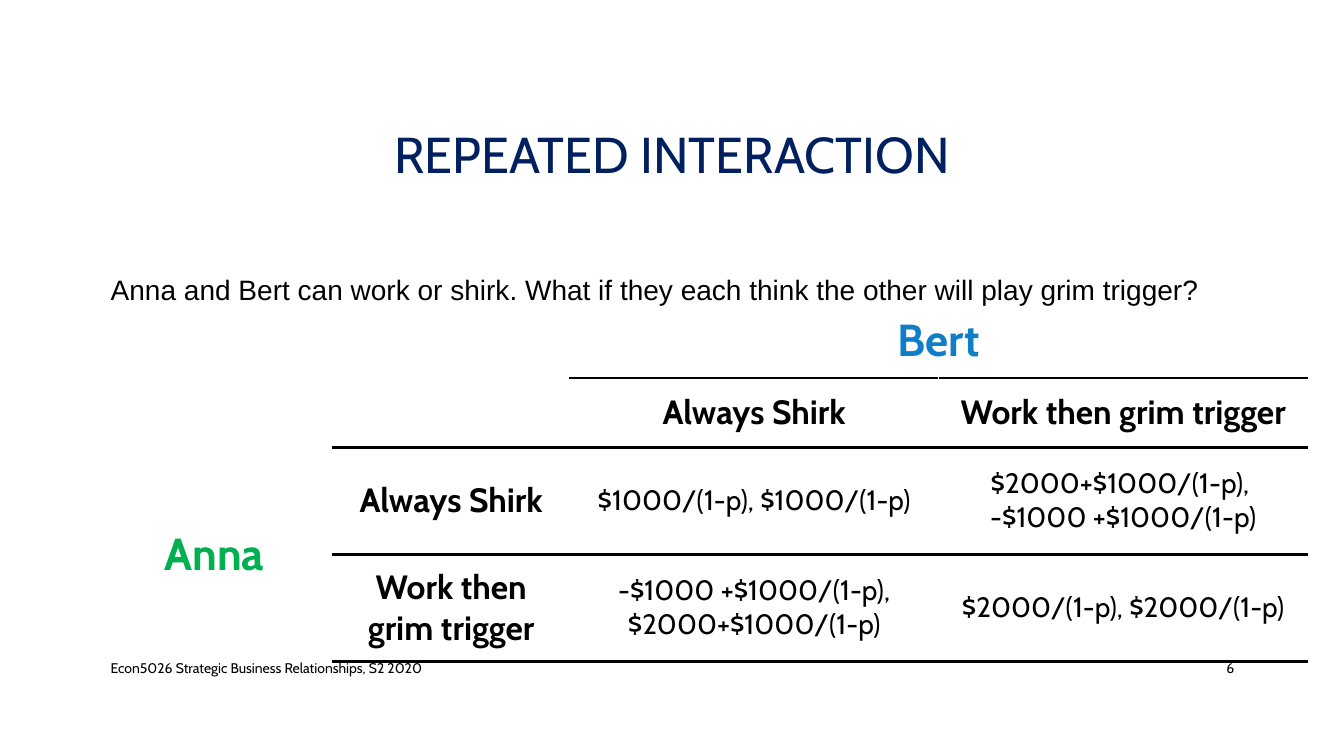
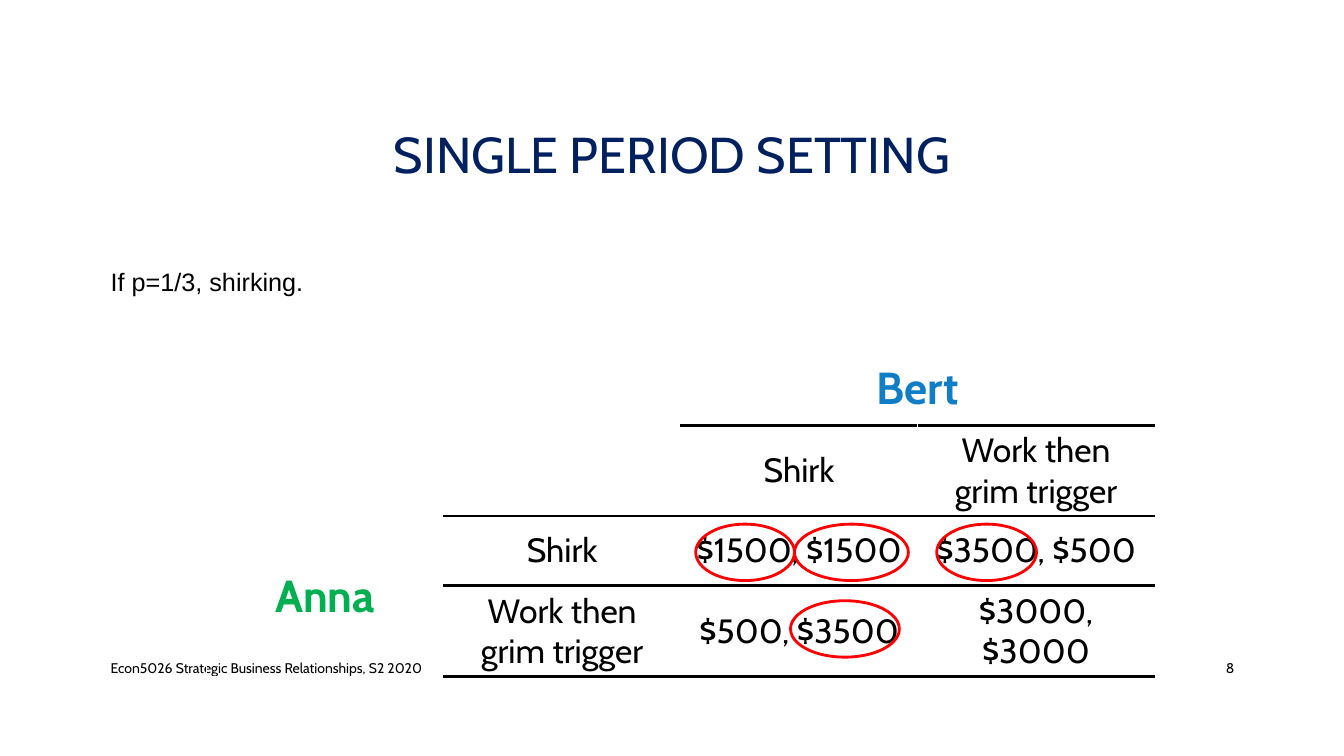
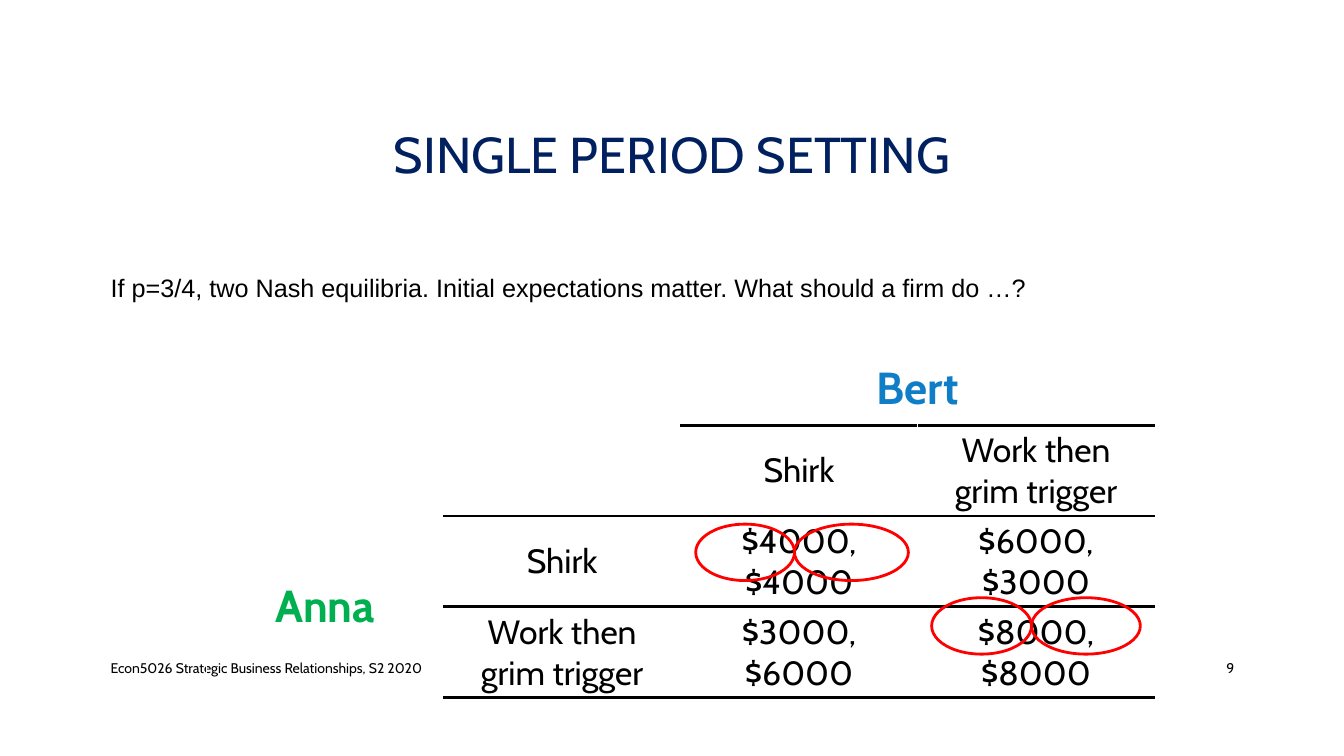
from pptx import Presentation
from pptx.util import Inches, Pt
from pptx.dml.color import RGBColor
from pptx.enum.shapes import MSO_SHAPE
from pptx.enum.text import PP_ALIGN as AL, MSO_ANCHOR as ANC, MSO_AUTO_SIZE as FIT
from pptx.oxml import parse_xml
from pptx.oxml.ns import nsdecls

C = {"navy": "002060", "black": "000000", "white": "FFFFFF",
     "blue": "107EC6", "green": "00B050", "red": "FF0000"}
W, H = 13.33, 7.5
LEFT, WIDE = 1, W - 2
COL, ROW = 2.35, 0.69
RING = 0.56
FOOTER = "Econ5026 Strategic Business Relationships, S2 2020"
GRIM = "Work then grim trigger"


def write(tf, text, size, color="black", font="Cabin", bold=False, anchor=ANC.MIDDLE, **fmt):
    tf.text = text
    tf.word_wrap = True
    tf.vertical_anchor = anchor
    for p in tf.paragraphs:
        for name, value in fmt.items():
            setattr(p, name, value)
        for r in p.runs:
            for name, value in {"size": Pt(size), "name": font, "bold": bold}.items():
                setattr(r.font, name, value)
            r.font.color.rgb = RGBColor.from_string(C[color])


def border(cell, side, black):
    color, width = (C["black"], 2.25) if black else (C["white"], 1)
    cell._tc.get_or_add_tcPr().append(parse_xml(
        f'<a:ln{side} {nsdecls("a")} w="{Pt(width)}"><a:solidFill>'
        f'<a:srgbClr val="{color}"/></a:solidFill></a:ln{side}>'))


single = {"title": "SINGLE PERIOD SETTING", "size": 18, "at": (2.05, 3.53),
          "cols": [COL] * 4, "rows": [ROW] * 4, "shirk": "Shirk",
          "bold": False, "pay_size": 24}
slides = [
    {"title": "REPEATED INTERACTION", "number": 6, "size": 20,
     "body": "Anna and Bert can work or shirk. What if they each think the other will play grim trigger?",
     "spacing": 1.2, "before": 10, "at": (0.95, 3.06),
     "cols": [COL, COL, 3.66, 3.66], "rows": [ROW, ROW, 1.06, 1.06],
     "shirk": "Always Shirk", "bold": True, "pay_size": 20,
     "pay": [["$1000/(1-p), $1000/(1-p)", "$2000+$1000/(1-p), \n-$1000 +$1000/(1-p)"],
             ["-$1000 +$1000/(1-p), $2000+$1000/(1-p)", "$2000/(1-p), $2000/(1-p)"]],
     "rings": []},
    {**single, "number": 8, "body": "If p=1/3, shirking.", "spacing": 1.0, "before": 6,
     "pay": [["$1500, $1500", "$3500, $500"], ["$500, $3500", "$3000, $3000"]],
     "rings": [(7.88, 5.2, 1.13), (7.84, 5.96, 1.08), (9.29, 5.2, 0.99), (6.9, 5.2, 0.98)]},
    {**single, "number": 9, "spacing": 1.2, "before": 10,
     "body": "If p=3/4, two Nash equilibria. Initial expectations matter. What should a firm do …?",
     "pay": [["$4000, $4000", "$6000, $3000"], ["$3000, $6000", "$8000, $8000"]],
     "rings": [(7.88, 5.2, 1.13), (10.23, 5.93, 1.08), (9.24, 5.93, 0.99), (6.9, 5.2, 0.98)]},
]

prs = Presentation()
prs.slide_width, prs.slide_height = Inches(W), Inches(H)

for d in slides:
    s = prs.slides.add_slide(prs.slide_layouts[5])
    sp = s.shapes.title
    sp.left, sp.top, sp.width, sp.height = map(Inches, (LEFT, 0.68, WIDE, 1.75))
    write(sp.text_frame, d["title"], 36, "navy", alignment=AL.CENTER, line_spacing=0.9)
    sp.text_frame.auto_size = FIT.NONE

    sp = s.shapes.add_textbox(*map(Inches, (LEFT, 2.59, WIDE, 3.74)))
    write(sp.text_frame, d["body"], d["size"], font="Arial", anchor=ANC.TOP,
          line_spacing=d["spacing"], space_before=Pt(d["before"]))
    for text, x, w, align in [(FOOTER, LEFT, 7.3, AL.LEFT),
                              (str(d["number"]), 11.5, 0.84, AL.RIGHT)]:
        sp = s.shapes.add_textbox(*map(Inches, (x, 6.43, w, 0.4)))
        write(sp.text_frame, text, 10, alignment=align)

    size = sum(d["cols"]), sum(d["rows"])
    tbl = s.shapes.add_table(4, 4, *map(Inches, (*d["at"], *size))).table
    tbl.first_row = tbl.horz_banding = False
    for col, w in zip(tbl.columns, d["cols"]):
        col.width = Inches(w)
    for row, h in zip(tbl.rows, d["rows"]):
        row.height = Inches(h)
    tbl.cell(0, 2).merge(tbl.cell(0, 3))
    tbl.cell(2, 0).merge(tbl.cell(3, 0))

    ruled = [[c >= (2 if r == 0 else 1) for c in range(4)] for r in range(4)]
    for r in range(4):
        for c in range(4):
            cell = tbl.cell(r, c)
            for side, black in [("L", False), ("R", False),
                                ("T", r > 0 and ruled[r - 1][c]), ("B", ruled[r][c])]:
                border(cell, side, black)
            cell.fill.background()

    labels = {(0, 2): ("Bert", 32, "blue", True), (2, 0): ("Anna", 32, "green", True)}
    for i, name in enumerate([d["shirk"], GRIM]):
        labels[1, 2 + i] = labels[2 + i, 1] = (name, 24, "black", d["bold"])
        for j, pay in enumerate(d["pay"][i]):
            labels[2 + i, 2 + j] = (pay, d["pay_size"], "black", False)
    for (r, c), (text, pt, color, bold) in labels.items():
        cell = tbl.cell(r, c)
        write(cell.text_frame, text, pt, color, bold=bold, alignment=AL.CENTER)
        cell.vertical_anchor = ANC.TOP if r == 0 else ANC.MIDDLE

    for x, y, w in d["rings"]:
        sp = s.shapes.add_shape(MSO_SHAPE.OVAL, *map(Inches, (x, y, w, RING)))
        sp.shadow.inherit = False
        sp.fill.background()
        sp.line.color.rgb = RGBColor.from_string(C["red"])
        sp.line.width = Pt(2)

prs.save("out.pptx")
